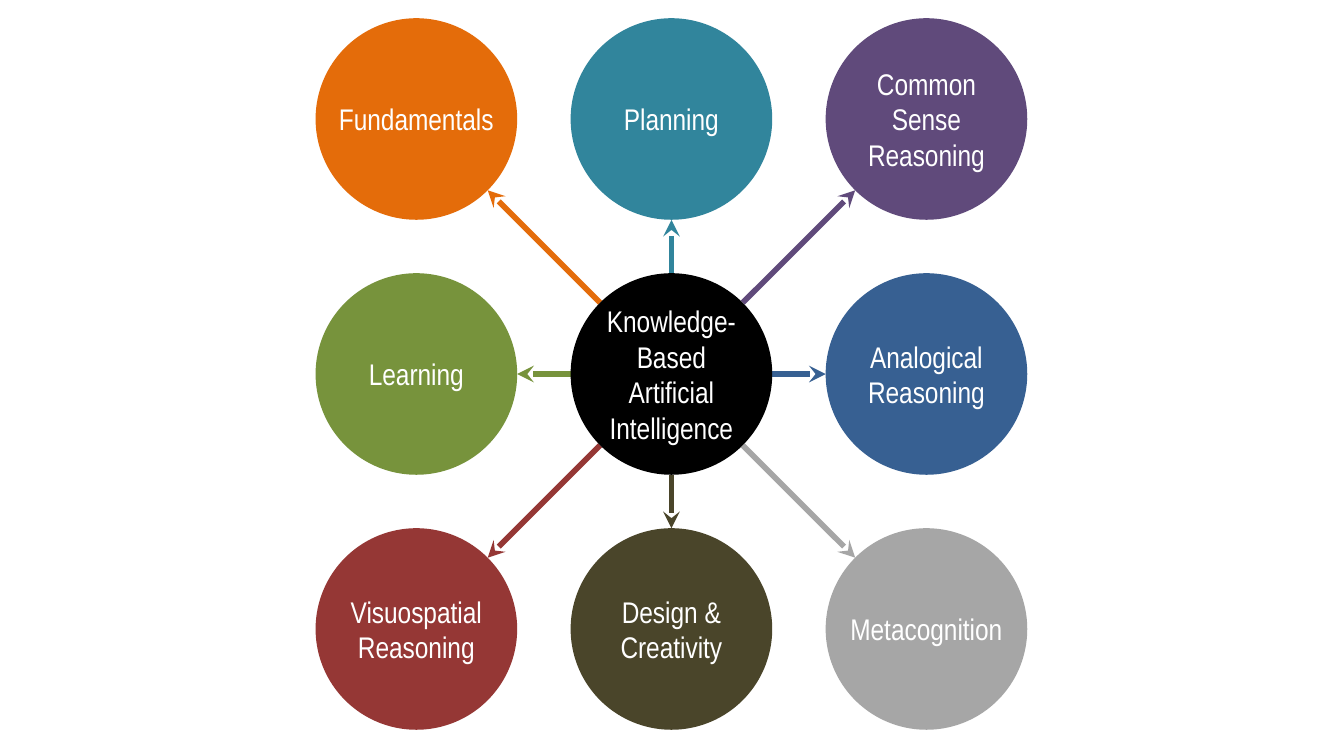
import math

import pptx
import pptx.dml.color
import pptx.enum.shapes
import pptx.enum.text
import pptx.oxml
import pptx.oxml.ns
import pptx.util

Cm = pptx.util.Cm
RGBColor = pptx.dml.color.RGBColor

ORANGE = RGBColor(0xE4, 0x6C, 0x0A)
TEAL = RGBColor(0x31, 0x85, 0x9C)
PURPLE = RGBColor(0x60, 0x4A, 0x7B)
GREEN = RGBColor(0x77, 0x93, 0x3C)
BLUE = RGBColor(0x37, 0x60, 0x92)
RED = RGBColor(0x95, 0x37, 0x35)
BROWN = RGBColor(0x4A, 0x45, 0x2A)
GRAY = RGBColor(0xA6, 0xA6, 0xA6)
BLACK = RGBColor(0, 0, 0)
WHITE = RGBColor(0xFF, 0xFF, 0xFF)

CENTER_X, CENTER_Y = 12.69, 7.07
PITCH = 4.82
DIAMETER = 3.81

TOPICS = [
    (0, -1, "Planning", TEAL, True),
    (0, 1, "Design & Creativity", BROWN, True),
    (1, 0, "Analogical Reasoning", BLUE, True),
    (1, -1, "Common Sense Reasoning", PURPLE, True),
    (1, 1, "Metacognition", GRAY, False),
    (-1, 0, "Learning", GREEN, True),
    (-1, -1, "Fundamentals", ORANGE, False),
    (-1, 1, "Visuospatial Reasoning", RED, True),
]


class TopicMap:
    font_format = {"name": "Arial Narrow", "size": pptx.util.Pt(16)}
    frame_format = {
        "margin_left": 0,
        "margin_top": 0,
        "margin_right": 0,
        "margin_bottom": 0,
        "vertical_anchor": pptx.enum.text.MSO_ANCHOR.MIDDLE,
    }

    def __init__(self, slide):
        self.s = slide

    def apply(self, target, formats):
        for name, value in formats.items():
            setattr(target, name, value)

    def circle(self, col, row, text, color, wrap=True):
        left = CENTER_X + col * PITCH - DIAMETER / 2
        top = CENTER_Y + row * PITCH - DIAMETER / 2
        sp = self.s.shapes.add_shape(
            pptx.enum.shapes.MSO_SHAPE.OVAL,
            Cm(left), Cm(top), Cm(DIAMETER), Cm(DIAMETER),
        )
        sp.shadow.inherit = False
        sp.fill.solid()
        sp.fill.fore_color.rgb = color
        sp.line.fill.background()
        tf = sp.text_frame
        self.apply(tf, {**self.frame_format, "word_wrap": wrap})
        p = tf.paragraphs[0]
        p.alignment = pptx.enum.text.PP_ALIGN.CENTER
        r = p.add_run()
        r.text = text
        self.apply(r.font, self.font_format)
        r.font.color.rgb = WHITE

    def arrow(self, col, row, color):
        distance = math.hypot(col, row)
        start = DIAMETER / 2 / distance
        end = PITCH - start
        c = self.s.shapes.add_connector(
            pptx.enum.shapes.MSO_CONNECTOR.STRAIGHT,
            Cm(CENTER_X + col * start), Cm(CENTER_Y + row * start),
            Cm(CENTER_X + col * end), Cm(CENTER_Y + row * end),
        )
        c.line.color.rgb = color
        c.line.width = pptx.util.Pt(3)
        spPr = c._element.spPr
        tail = pptx.oxml.parse_xml(
            f'<a:tailEnd {pptx.oxml.ns.nsdecls("a")} type="stealth"/>'
        )
        spPr.find(pptx.oxml.ns.qn("a:ln")).append(tail)
        spPr.append(pptx.oxml.parse_xml(
            f'<a:effectLst {pptx.oxml.ns.nsdecls("a")}/>'
        ))


def main():
    prs = pptx.Presentation()
    prs.slide_width, prs.slide_height = Cm(25.4), Cm(14.29)
    topic_map = TopicMap(prs.slides.add_slide(prs.slide_layouts[6]))
    for col, row, text, color, wrap in TOPICS:
        topic_map.circle(col, row, text, color, wrap)
    for col, row, _, color, _ in TOPICS:
        topic_map.arrow(col, row, color)
    topic_map.circle(0, 0, "Knowledge-Based Artificial Intelligence", BLACK)
    prs.save("out.pptx")


if __name__ == "__main__":
    main()
